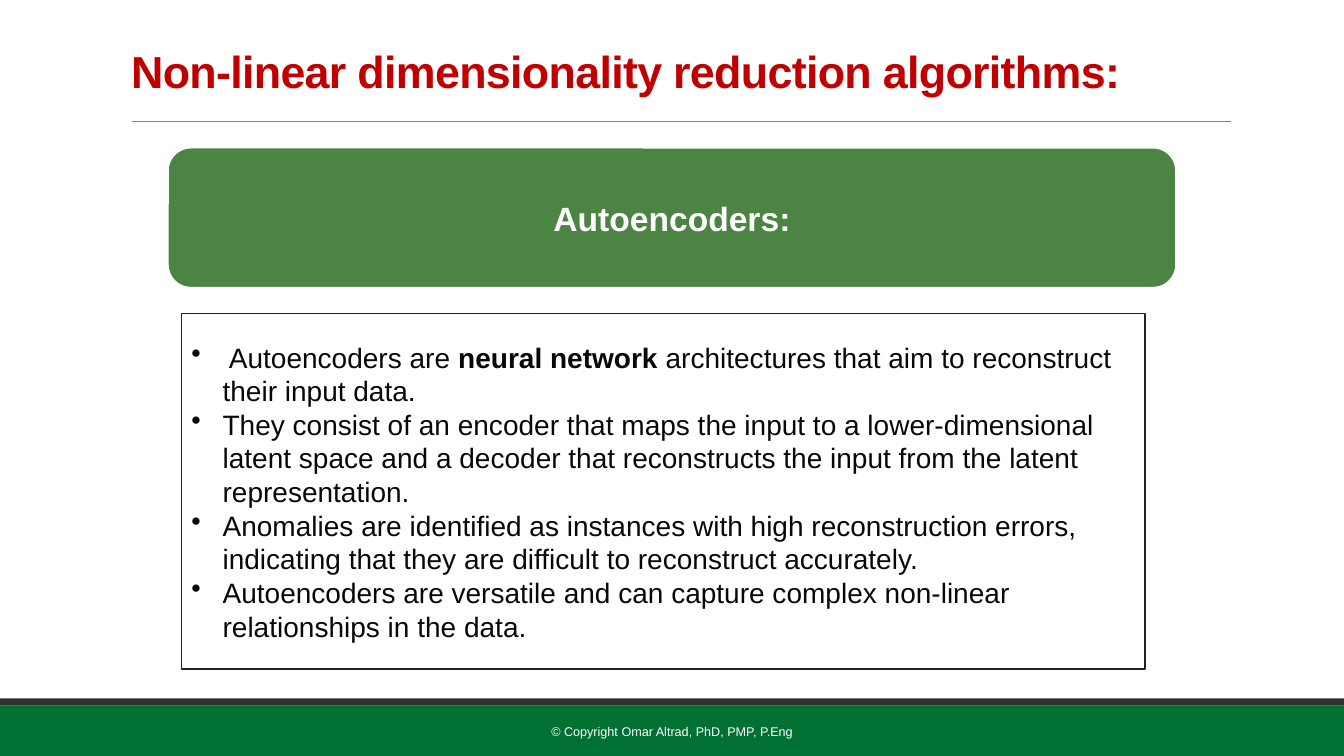
"""Build the slide on autoencoders for non-linear dimensionality reduction."""
from dataclasses import dataclass

from lxml import etree
from pptx import Presentation
from pptx import util as u
from pptx.dml.color import RGBColor
from pptx.enum import shapes, text
from pptx.oxml import ns

TITLE = "Non-linear dimensionality reduction algorithms:"
TOPIC = "Autoencoders:"
FOOTER = "© Copyright Omar Altrad, PhD, PMP, P.Eng"
POINTS = [
    [(" Autoencoders are ", False), ("neural network ", True),
     ("architectures that aim to reconstruct their input data.", False)],
    [("They consist of an encoder that maps the input to a lower-dimensional latent space "
      "and a decoder that reconstructs the input from the latent representation.", False)],
    [("Anomalies are identified as instances with high reconstruction errors, "
      "indicating that they are difficult to reconstruct accurately.", False)],
    [("Autoencoders are versatile and can capture complex non-linear relationships "
      "in the data.", False)],
]

WIDTH, HEIGHT = 13.33, 7.5
BAND, STRIPE = 0.5, 0.07
BAND_TOP = HEIGHT - BAND
RULE_Y, RULE_LEFT, RULE_RIGHT = 1.2, 1.31, 12.21
INDENT = 0.31


@dataclass(frozen=True)
class Theme:
    """Colours, font and type sizes of the slide."""
    font: str = "Arial"
    red: str = "C00000"
    green: str = "4C8444"
    band: str = "007033"
    stripe: str = "2F2F2F"
    rule: str = "848484"
    outline: str = "232323"
    ink: str = "080808"
    white: str = "FFFFFF"
    title: int = 32
    topic: int = 24
    body: int = 20
    footer: int = 9


T = Theme()
KIND = shapes.MSO_SHAPE


def rgb(code):
    """Turn a hex code into a colour."""
    return RGBColor.from_string(code)


def place(sp, left, top, width, height):
    """Set a shape's position and size in inches."""
    sp.left, sp.top, sp.width, sp.height = map(u.Inches, (left, top, width, height))


def style(p, size, color, bold=None, align=None):
    """Format one paragraph."""
    p.font.name, p.font.size, p.font.bold = T.font, u.Pt(size), bold
    p.font.color.rgb = rgb(color)
    p.alignment = align


def add_block(s, kind, box, fill, line=None, weight=0):
    """Add a flat filled shape with an optional outline."""
    sp = s.shapes.add_shape(kind, *map(u.Inches, box))
    sp.shadow.inherit = False
    sp.fill.solid()
    sp.fill.fore_color.rgb = rgb(fill)
    if line:
        sp.line.color.rgb, sp.line.width = rgb(line), u.Pt(weight)
    else:
        sp.line.fill.background()
    return sp


def centre_text(sp, words, size, color, bold=None):
    """Write one centred line in a shape."""
    tf = sp.text_frame
    tf.word_wrap, tf.vertical_anchor = True, text.MSO_ANCHOR.MIDDLE
    tf.text = words
    style(tf.paragraphs[0], size, color, bold, text.PP_ALIGN.CENTER)


def add_bullet(p):
    """Give a paragraph a hanging round bullet."""
    pPr = p._p.get_or_add_pPr()
    pPr.set("marL", str(u.Inches(INDENT)))
    pPr.set("indent", str(-u.Inches(INDENT)))
    bullet = etree.Element(ns.qn("a:buChar"), char="•")
    pPr.insert_element_before(bullet, "a:tabLst", "a:defRPr", "a:extLst")


def add_rule(s):
    """Draw the thin line under the title."""
    ends = map(u.Inches, (RULE_LEFT, RULE_Y, RULE_RIGHT, RULE_Y))
    rule = s.shapes.add_connector(shapes.MSO_CONNECTOR.STRAIGHT, *ends)
    rule.line.color.rgb, rule.line.width = rgb(T.rule), u.Pt(0.5)
    etree.SubElement(rule._element.spPr, ns.qn("a:effectLst"))


def set_title(s):
    """Fill and format the title placeholder."""
    title = s.shapes.title
    place(title, 1.2, 0.31, 11, 0.86)
    tf = title.text_frame
    tf.word_wrap, tf.vertical_anchor = True, text.MSO_ANCHOR.MIDDLE
    tf.text = TITLE
    p = tf.paragraphs[0]
    style(p, T.title, T.red, True, text.PP_ALIGN.LEFT)
    p.line_spacing = 0.85
    p.runs[0].font._element.set("spc", "-50")


def add_points(s):
    """Add the outlined box of bullet points."""
    sp = add_block(s, KIND.RECTANGLE, (1.8, 3.11, 9.56, 3.53), T.white, T.outline, 1.25)
    tf = sp.text_frame
    tf.word_wrap, tf.vertical_anchor = True, text.MSO_ANCHOR.MIDDLE
    for i, point in enumerate(POINTS):
        p = tf.add_paragraph() if i else tf.paragraphs[0]
        style(p, T.body, T.ink, align=text.PP_ALIGN.LEFT)
        add_bullet(p)
        for words, bold in point:
            r = p.add_run()
            r.text, r.font.bold = words, bold


def main():
    """Assemble and save the slide."""
    prs = Presentation()
    prs.slide_width, prs.slide_height = u.Inches(WIDTH), u.Inches(HEIGHT)
    s = prs.slides.add_slide(prs.slide_layouts[5])
    add_block(s, KIND.RECTANGLE, (0, BAND_TOP, WIDTH, BAND), T.band)
    add_block(s, KIND.RECTANGLE, (0, BAND_TOP - STRIPE, WIDTH, STRIPE), T.stripe)
    add_rule(s)
    set_title(s)
    footer = s.shapes.add_textbox(*map(u.Inches, (4.03, 7.06, 5.27, 0.4)))
    centre_text(footer, FOOTER, T.footer, T.white)
    topic = add_block(s, KIND.ROUNDED_RECTANGLE, (1.66, 1.46, 10.01, 1.4), T.green, T.white, 2)
    centre_text(topic, TOPIC, T.topic, T.white, True)
    add_points(s)
    prs.save("out.pptx")


if __name__ == "__main__":
    main()
